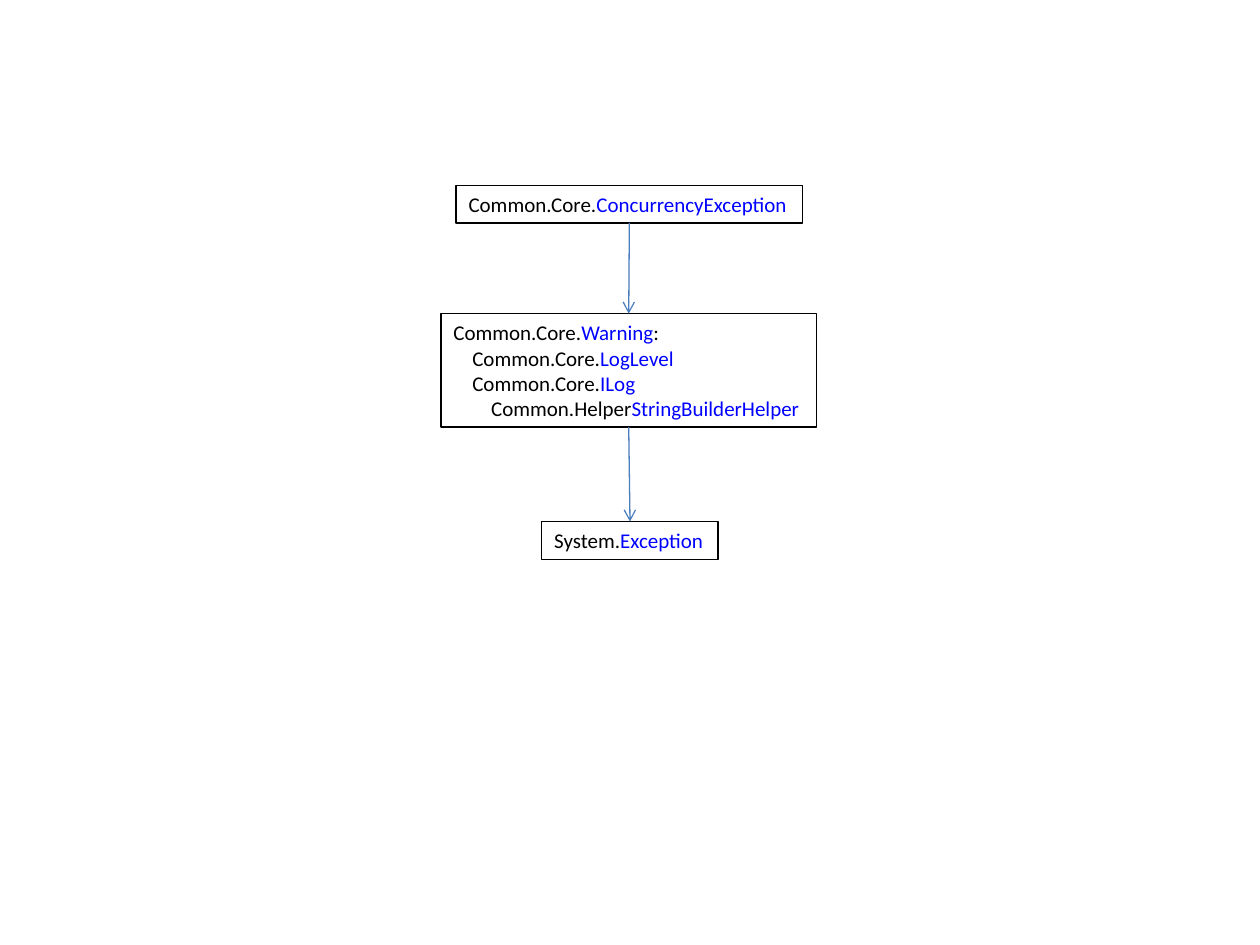
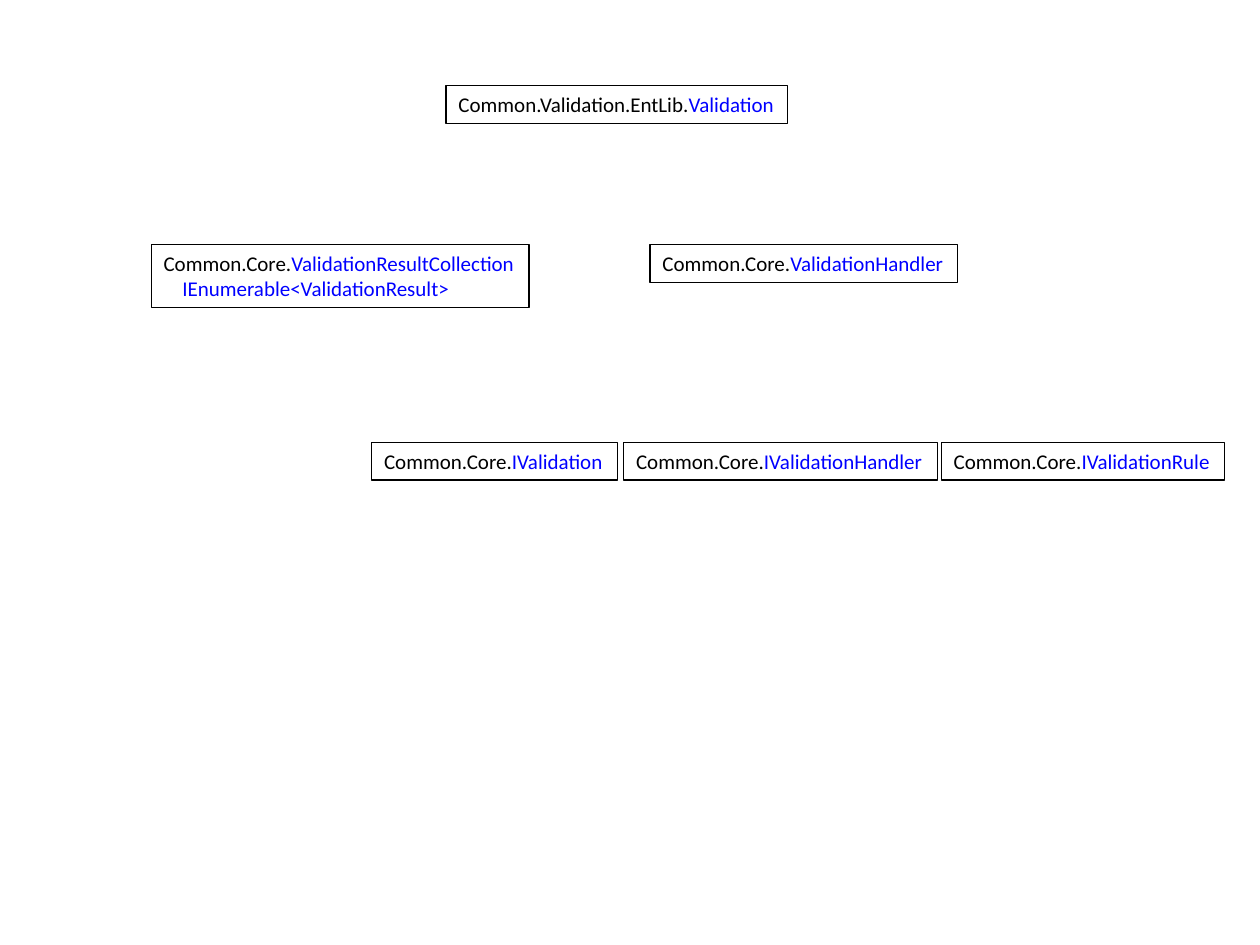
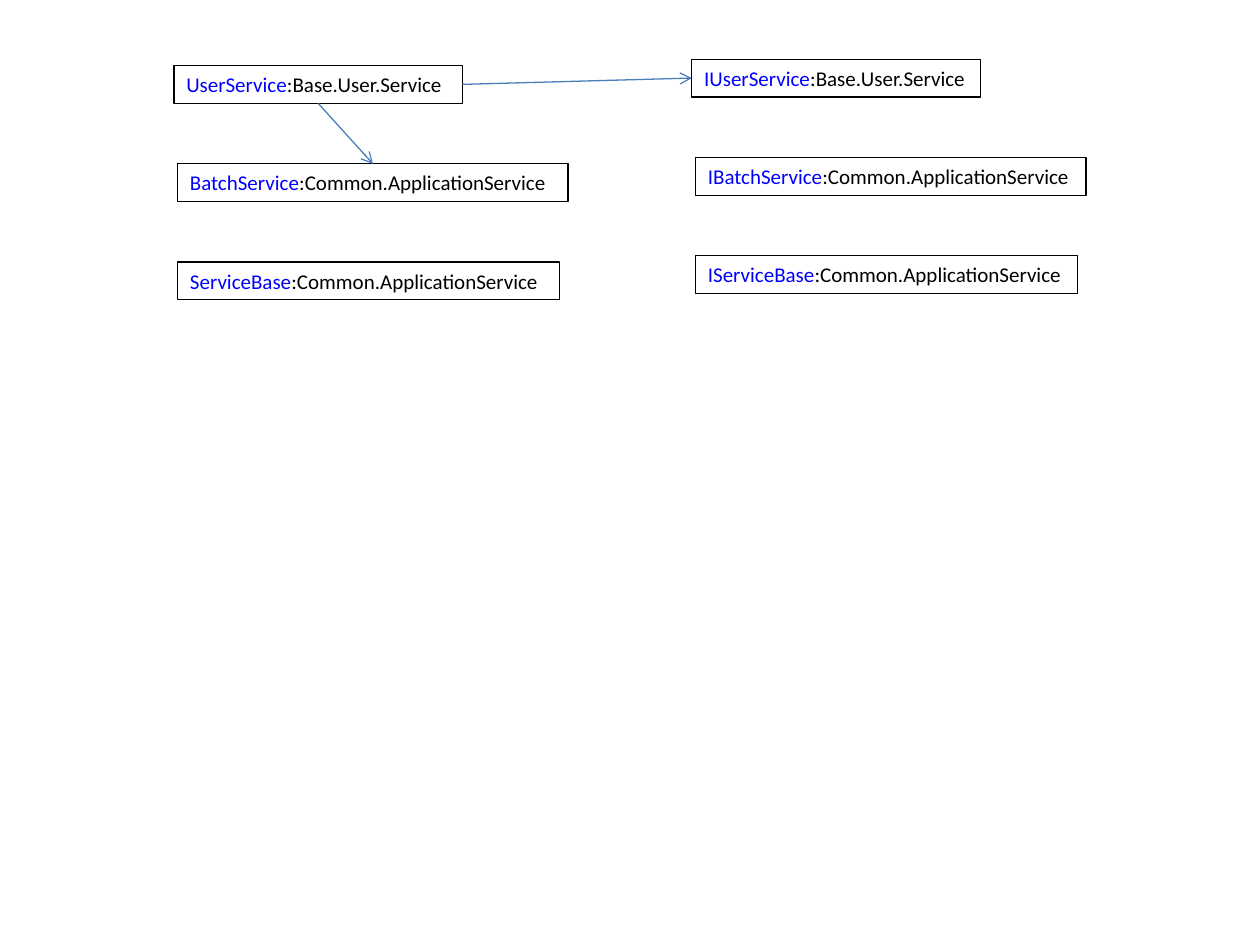
from pptx import Presentation
from pptx.dml.color import RGBColor as RGB
from pptx.enum.shapes import MSO_CONNECTOR as LINK
from pptx.enum.text import MSO_AUTO_SIZE as FIT
from pptx.oxml.ns import qn
from pptx.util import Inches, Pt
from lxml.etree import SubElement as Sub

COLORS = {"text": "000000", "name": "0000FF", "edge": "000000", "arrow": "4B7EBC"}
FONT, SIZE, LINE = "Calibri", 12, 0.75
INDENT = 0.15
TOP, LEFT, BOTTOM, RIGHT = range(4)  # connection sites of a box


def color(key):
    return RGB.from_string(COLORS[key])


def write(para, text, level):
    """Fill a paragraph; the parts between asterisks are class names."""
    para.font.name, para.font.size = FONT, Pt(SIZE)
    if level:
        para._p.get_or_add_pPr().set("marL", str(Inches(INDENT * level)))
    for i, part in enumerate(text.split("*")):
        if part:
            run = para.add_run()
            run.text = part
            run.font.color.rgb = color("name" if i % 2 else "text")


def add_box(slide, x, y, width, *lines):
    """Add a framed box; each line is a text or a (level, text) pair."""
    height = 0.1 + 0.2 * len(lines)
    box = slide.shapes.add_textbox(Inches(x), Inches(y), Inches(width), Inches(height))
    box.line.color.rgb = color("edge")
    box.line.width = Pt(LINE)
    frame = box.text_frame
    frame.word_wrap = False
    frame.auto_size = FIT.SHAPE_TO_FIT_TEXT
    for i, line in enumerate(lines):
        level, text = (0, line) if isinstance(line, str) else line
        para = frame.add_paragraph() if i else frame.paragraphs[0]
        write(para, text, level)
    return box


def add_arrow(slide, start, end, out=BOTTOM, into=TOP):
    """Join two boxes with an open arrow."""
    arrow = slide.shapes.add_connector(LINK.STRAIGHT, 0, 0, 0, 0)
    arrow.begin_connect(start, out)
    arrow.end_connect(end, into)
    arrow.line.color.rgb = color("arrow")
    arrow.line.width = Pt(LINE)
    props = arrow._element.spPr
    Sub(props.find(qn("a:ln")), qn("a:tailEnd"), type="arrow")
    Sub(props, qn("a:effectLst"))


def draw_errors(slide):
    """Exception chain, from top to bottom."""
    top = add_box(slide, 3.62, 1.47, 2.75, "Common.Core.*ConcurrencyException*")
    warn = add_box(slide, 3.5, 2.49, 2.98,
                   "Common.Core.*Warning*:",
                   (1, "Common.Core.*LogLevel*"),
                   (1, "Common.Core.*ILog*"),
                   (2, "Common.Helper*StringBuilderHelper*"))
    base = add_box(slide, 4.3, 4.14, 1.4, "System.*Exception*")
    add_arrow(slide, top, warn)
    add_arrow(slide, warn, base)


def draw_checks(slide):
    """Validation classes above their interfaces."""
    add_box(slide, 3.54, 0.68, 2.71, "Common.Validation.EntLib.*Validation*")
    add_box(slide, 1.2, 1.94, 3, "Common.Core.*ValidationResultCollection*",
            (1, "*IEnumerable<ValidationResult>*"))
    add_box(slide, 5.16, 1.94, 2.44, "Common.Core.*ValidationHandler*")
    for x, width, name in [(2.95, 1.95, "IValidation"),
                           (4.95, 2.49, "IValidationHandler"),
                           (7.47, 2.25, "IValidationRule")]:
        add_box(slide, x, 3.51, width, f"Common.Core.*{name}*")


def draw_services(slide):
    """Services on the left, their interfaces on the right."""
    rows = [(0, 2.29, "UserService", "Base.User.Service"),
            (0.03, 3.1, "BatchService", "Common.ApplicationService"),
            (0.03, 3.03, "ServiceBase", "Common.ApplicationService")]
    boxes = {}
    for x, y, mark in [(1.38, 0.52, ""), (5.49, 0.47, "I")]:
        for i, (shift, width, name, space) in enumerate(rows):
            boxes[mark + name] = add_box(slide, x + shift, y + 0.78 * i, width,
                                         f"*{mark}{name}*:{space}")
    user = boxes["UserService"]
    add_arrow(slide, user, boxes["IUserService"], RIGHT, LEFT)
    add_arrow(slide, user, boxes["BatchService"])


def main():
    deck = Presentation()
    deck.slide_width, deck.slide_height = Inches(10), Inches(7.5)
    blank = deck.slide_layouts[6]
    for draw in (draw_errors, draw_checks, draw_services):
        draw(deck.slides.add_slide(blank))
    deck.save("out.pptx")


main()
